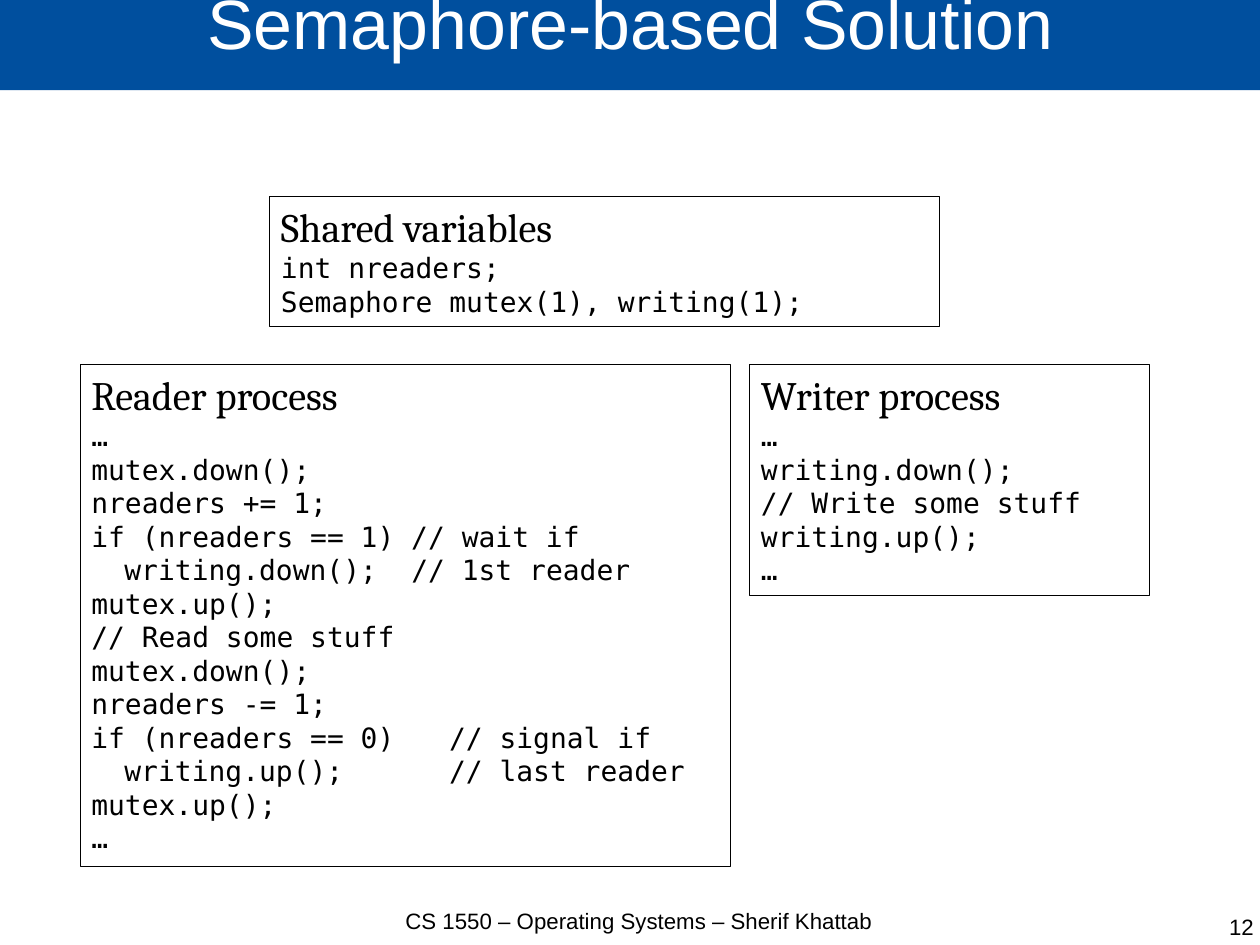
import pptx
import pptx.dml.color
import pptx.enum.shapes
import pptx.enum.text
import pptx.oxml
import pptx.oxml.ns
import pptx.util

SLIDE_WIDTH, SLIDE_HEIGHT = pptx.util.Cm(28), pptx.util.Cm(21)
BLACK, WHITE, BLUE = "000000", "FFFFFF", "004F9E"
ALIGN = pptx.enum.text.PP_ALIGN

TITLE = "Semaphore-based Solution"
FOOTER = "CS 1550 – Operating Systems – Sherif Khattab"
PAGE = "12"

SHARED = ("Shared variables", [
    "int nreaders;",
    "Semaphore mutex(1), writing(1);",
])
READER = ("Reader process", [
    "…",
    "mutex.down();",
    "nreaders += 1;",
    "if (nreaders == 1) // wait if",
    "\twriting.down();\t// 1st reader",
    "mutex.up();",
    "// Read some stuff",
    "mutex.down();",
    "nreaders -= 1;",
    "if (nreaders == 0)\t// signal if",
    "\twriting.up();\t// last reader",
    "mutex.up();",
    "…",
])
WRITER = ("Writer process", [
    "…",
    "writing.down();",
    "// Write some stuff",
    "writing.up();",
    "…",
])

# Tab stops in inches for the lines that need them
CODE_INDENT = 0.29
TAB_STOPS = {
    "\twriting.down();\t// 1st reader": (CODE_INDENT, 2.8),
    "if (nreaders == 0)\t// signal if": (3.13,),
    "\twriting.up();\t// last reader": (CODE_INDENT, 3.13),
}

# Process boxes share a top edge; every box is as tall as its lines
PROCESS_TOP = 3.19
HEADING_HEIGHT, CODE_HEIGHT = 0.54, 0.296
BOXES = [
    (READER, 0.7, PROCESS_TOP, 5.69),
    (SHARED, 2.36, 1.72, 5.86),
    (WRITER, 6.56, PROCESS_TOP, 3.5),
]


def color(value):
    return pptx.dml.color.RGBColor.from_string(value)


def inches(*lengths):
    return [pptx.util.Inches(length) for length in lengths]


def set_frame(frame, side, edge):
    frame.word_wrap = True
    frame.margin_left = frame.margin_right = pptx.util.Inches(side)
    frame.margin_top = frame.margin_bottom = pptx.util.Inches(edge)
    frame.vertical_anchor = pptx.enum.text.MSO_ANCHOR.TOP


def write(paragraph, text, size, font, ink=BLACK, align=ALIGN.LEFT):
    paragraph.alignment = align
    run = paragraph.add_run()
    run.text = text
    run.font.size = pptx.util.Pt(size)
    run.font.name = font
    run.font.color.rgb = color(ink)


def set_tabs(paragraph, stops):
    properties = paragraph._p.get_or_add_pPr()
    tab_list = pptx.oxml.parse_xml(
        f'<a:tabLst {pptx.oxml.ns.nsdecls("a")}>'
        + "".join(f'<a:tab pos="{pptx.util.Inches(stop)}" algn="l"/>' for stop in stops)
        + "</a:tabLst>")
    properties.append(tab_list)


def add_box(slide, left, top, width, height):
    box = slide.shapes.add_shape(
        pptx.enum.shapes.MSO_SHAPE.RECTANGLE, *inches(left, top, width, height))
    box.shadow.inherit = False
    set_frame(box.text_frame, 0.1, 0.05)
    return box


def add_title(slide):
    banner = add_box(slide, 0, -0.02, 11.04, 0.81)
    banner.fill.solid()
    banner.fill.fore_color.rgb = color(BLUE)
    banner.line.fill.background()
    paragraph = banner.text_frame.paragraphs[0]
    paragraph.line_spacing = 0.69
    write(paragraph, TITLE, 44, "Arial", WHITE, ALIGN.CENTER)


def add_code_box(slide, content, left, top, width):
    heading, lines = content
    height = HEADING_HEIGHT + CODE_HEIGHT * len(lines)
    box = add_box(slide, left, top, width, height)
    box.fill.background()
    box.line.color.rgb = color(BLACK)
    box.line.width = pptx.util.Pt(0.5)
    frame = box.text_frame
    write(frame.paragraphs[0], heading, 25.4, "Cambria")
    for line in lines:
        paragraph = frame.add_paragraph()
        write(paragraph, line, 17.6, "DejaVu Sans Mono")
        if line in TAB_STOPS:
            set_tabs(paragraph, TAB_STOPS[line])


def add_footer(slide, text, left, top, width, align):
    footer = slide.shapes.add_textbox(*inches(left, top, width, 0.55))
    set_frame(footer.text_frame, 0, 0)
    write(footer.text_frame.paragraphs[0], text, 14, "Arial", align=align)


def main():
    deck = pptx.Presentation()
    deck.slide_width = SLIDE_WIDTH
    deck.slide_height = SLIDE_HEIGHT
    slide = deck.slides.add_slide(deck.slide_layouts[6])
    add_title(slide)
    add_footer(slide, FOOTER, 3.07, 7.94, 5.04, ALIGN.CENTER)
    add_footer(slide, PAGE, 8.44, 7.99, 2.53, ALIGN.RIGHT)
    for content, left, top, width in BOXES:
        add_code_box(slide, content, left, top, width)
    deck.save("out.pptx")


if __name__ == "__main__":
    main()
